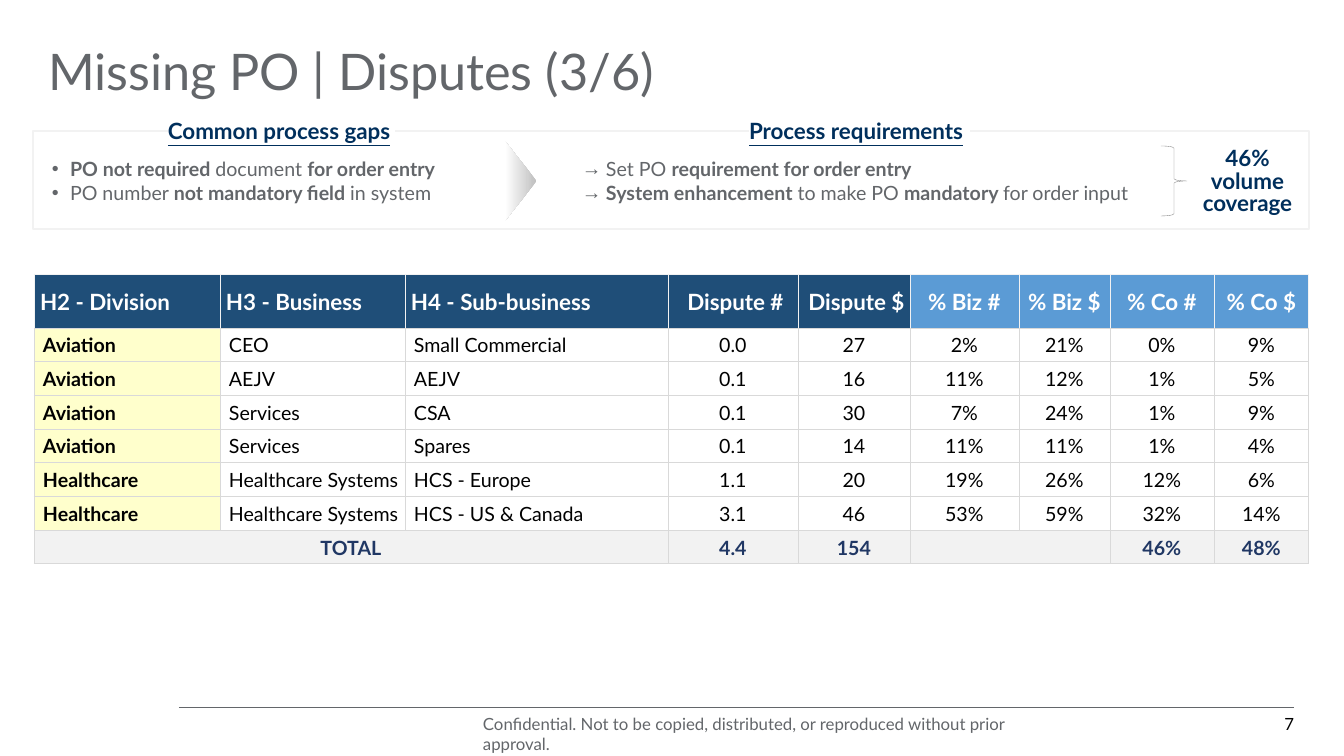
from lxml import etree
from pptx import Presentation, util as u
from pptx.dml.color import RGBColor
from pptx.enum import shapes, text
from pptx.oxml.ns import qn

PX = 9071.43  # EMU per px
rgb = RGBColor.from_string
GREY, NAVY, BLACK, WHITE = "63666A", "002F5C", "000000", "FFFFFF"
LEFT, CENTER, RIGHT = text.PP_ALIGN.LEFT, text.PP_ALIGN.CENTER, text.PP_ALIGN.RIGHT


def px(*lengths):
    return [u.Emu(round(length * PX)) for length in lengths]


def style(paragraph, size, color, bold=None, align=LEFT):
    paragraph.alignment = align
    font = paragraph.font
    font.name, font.size, font.bold = "Lato", u.Pt(size), bold
    font.color.rgb = rgb(color)


presentation = Presentation()
presentation.slide_width, presentation.slide_height = px(1344, 756)
slide = presentation.slides.add_slide(presentation.slide_layouts[3])
title, gaps, requirements = slide.placeholders

# Title
title.left, title.top, title.width, title.height = px(48, 24, 992, 101)
frame = title.text_frame
frame.margin_left = frame.margin_right = frame.margin_top = frame.margin_bottom = 0
frame.vertical_anchor = text.MSO_ANCHOR.MIDDLE
frame.text = "Missing PO | Disputes (3/6)"
frame.paragraphs[0].line_spacing = 0.9
style(frame.paragraphs[0], 36, GREY)

# Frame around the process summary
panel = slide.shapes.add_shape(shapes.MSO_SHAPE.RECTANGLE, *px(33, 131, 1276, 98))
panel.shadow.inherit = False
panel.fill.background()
panel.line.color.rgb = rgb("F2F2F2")
panel.line.width = u.Pt(0.85)

# Lists: each item is a series of (words, bold) runs
lists = [
    (gaps, (52, 157, 440, 47), "•", 18, [
        [("PO not required ", True), ("document ", False), ("for order entry", True)],
        [("PO number ", False), ("not mandatory field ", True), ("in system", False)],
    ]),
    (requirements, (582, 157, 564, 47), "→", 24, [
        [("Set PO ", False), ("requirement for order entry", True)],
        [("System enhancement ", True), ("to make PO ", False),
         ("mandatory ", True), ("for order input", False)],
    ]),
]
for body, place, bullet, indent, items in lists:
    body.left, body.top, body.width, body.height = px(*place)
    frame = body.text_frame
    frame.margin_left = frame.margin_right = frame.margin_top = frame.margin_bottom = 0
    frame.auto_size = text.MSO_AUTO_SIZE.NONE
    for index, item in enumerate(items):
        paragraph = frame.add_paragraph() if index else frame.paragraphs[0]
        paragraph.space_before = u.Pt(0)
        properties = paragraph._p.get_or_add_pPr()
        properties.set("marL", str(px(indent)[0]))
        properties.set("indent", str(px(-indent)[0]))
        etree.SubElement(properties, qn("a:buChar"), char=bullet)
        style(paragraph, 14, GREY)
        for words, bold in item:
            run = paragraph.add_run()
            run.text, run.font.bold = words, bold

# Headings that interrupt the frame
for left, width, heading in ((168, 227, "Common process gaps"),
                             (749, 221, "Process requirements")):
    label = slide.shapes.add_shape(shapes.MSO_SHAPE.RECTANGLE, *px(left, 117, width, 30))
    label.shadow.inherit = False
    label.fill.solid()
    label.fill.fore_color.rgb = rgb(WHITE)
    label.line.fill.background()
    frame = label.text_frame
    frame.margin_left = frame.margin_right = frame.margin_top = frame.margin_bottom = 0
    frame.vertical_anchor = text.MSO_ANCHOR.TOP
    frame.text = heading
    style(frame.paragraphs[0], 16, NAVY, True)
    frame.paragraphs[0].font.underline = True

# Arrowhead from gaps to requirements
arrowhead = slide.shapes.add_shape(shapes.MSO_SHAPE.ISOSCELES_TRIANGLE, *px(480, 165, 81, 32))
arrowhead.rotation = 90
arrowhead.shadow.inherit = False
arrowhead.line.fill.background()
arrowhead.fill.gradient()
arrowhead.fill.gradient_angle = 270
for stop, color in zip(arrowhead.fill.gradient_stops, ("BFBFBF", WHITE)):
    stop.color.rgb = rgb(color)

# Brace and coverage
brace = slide.shapes.add_shape(shapes.MSO_SHAPE.RIGHT_BRACE, *px(1161, 146, 26, 70))
brace.shadow.inherit = False
brace.fill.background()
brace.line.color.rgb = rgb("808080")
brace.line.width = u.Pt(0.25)
coverage = slide.shapes.add_textbox(*px(1192, 144, 111, 78))
coverage.text_frame.word_wrap = True
coverage.text_frame.text = "46%\nvolume\ncoverage"
for paragraph in coverage.text_frame.paragraphs:
    paragraph.line_spacing = u.Pt(16)
    style(paragraph, 16, NAVY, True, CENTER)

# Dispute table
rows = [
    ["H2 - Division", "H3 - Business", "H4 - Sub-business", "Dispute #", "Dispute $",
     "% Biz #", "% Biz $", "% Co #", "% Co $"],
    ["Aviation", "CEO", "Small Commercial", "0.0", "27", "2%", "21%", "0%", "9%"],
    ["Aviation", "AEJV", "AEJV", "0.1", "16", "11%", "12%", "1%", "5%"],
    ["Aviation", "Services", "CSA", "0.1", "30", "7%", "24%", "1%", "9%"],
    ["Aviation", "Services", "Spares", "0.1", "14", "11%", "11%", "1%", "4%"],
    ["Healthcare", "Healthcare Systems", "HCS - Europe", "1.1", "20", "19%", "26%", "12%", "6%"],
    ["Healthcare", "Healthcare Systems", "HCS - US & Canada", "3.1", "46", "53%", "59%", "32%", "14%"],
    ["TOTAL", "", "", "4.4", "154", "", "", "46%", "48%"],
]
widths = [186, 185, 263, 130, 112, 109, 91, 104, 95]
last = len(rows) - 1
table = slide.shapes.add_table(len(rows), len(widths), *px(34, 274, sum(widths), 290)).table
table.first_row = table.horz_banding = False
for column, width in zip(table.columns, px(*widths)):
    column.width = width
for index, row in enumerate(table.rows):
    row.height = px(236 / last if index else 54)[0]
table.cell(last, 0).merge(table.cell(last, 2))
table.cell(last, 5).merge(table.cell(last, 6))

for r, values in enumerate(rows):
    for c, value in enumerate(values):
        cell = table.cell(r, c)
        # Colours and margins by role: header, total or body
        indent, align = (9, LEFT) if c < 3 else (1, CENTER)
        size, color, bold, fill = 14, BLACK, c == 0, "FFFFCC" if c == 0 else None
        if r == 0:
            size, color, bold = 16, WHITE, True
            indent, fill = (6, "1F4E78") if c < 5 else (1, "5B9BD5")
        elif r == last:
            indent, align, color, bold, fill = 1, CENTER, "203764", True, "F2F2F2"
        cell.margin_left, cell.margin_right, cell.margin_top = px(indent, 1, 1)
        cell.margin_bottom = 0
        cell.vertical_anchor = text.MSO_ANCHOR.MIDDLE
        cell.text = value
        style(cell.text_frame.paragraphs[0], size, color, bold, align)
        # Borders go ahead of the fill
        for side in ("lnL", "lnR", "lnT", "lnB"):
            border = etree.SubElement(cell._tc.get_or_add_tcPr(), qn("a:" + side), w=str(u.Pt(0.5)))
            solid = etree.SubElement(border, qn("a:solidFill"))
            tint = "F2F2F2" if r == 0 and side != "lnB" else "D9D9D9"
            etree.SubElement(solid, qn("a:srgbClr"), val=tint)
        if fill:
            cell.fill.solid()
            cell.fill.fore_color.rgb = rgb(fill)
        else:
            cell.fill.background()

# Footer
rule = slide.shapes.add_connector(shapes.MSO_CONNECTOR.STRAIGHT, *px(179, 707, 1294, 707))
rule.line.color.rgb = rgb(GREY)
rule.line.width = u.Pt(0.25)
etree.SubElement(rule._element.spPr, qn("a:effectLst"))
notice = "Confidential. Not to be copied, distributed, or reproduced without prior approval."
for left, width, words, color, align in ((483, 569, notice, GREY, LEFT),
                                         (1258, 36, "7", BLACK, RIGHT)):
    footer = slide.shapes.add_textbox(*px(left, 714, width, 20))
    frame = footer.text_frame
    frame.margin_left = frame.margin_right = frame.margin_top = frame.margin_bottom = 0
    frame.word_wrap = True
    frame.text = words
    style(frame.paragraphs[0], 12, color, align=align)

presentation.save("out.pptx")
